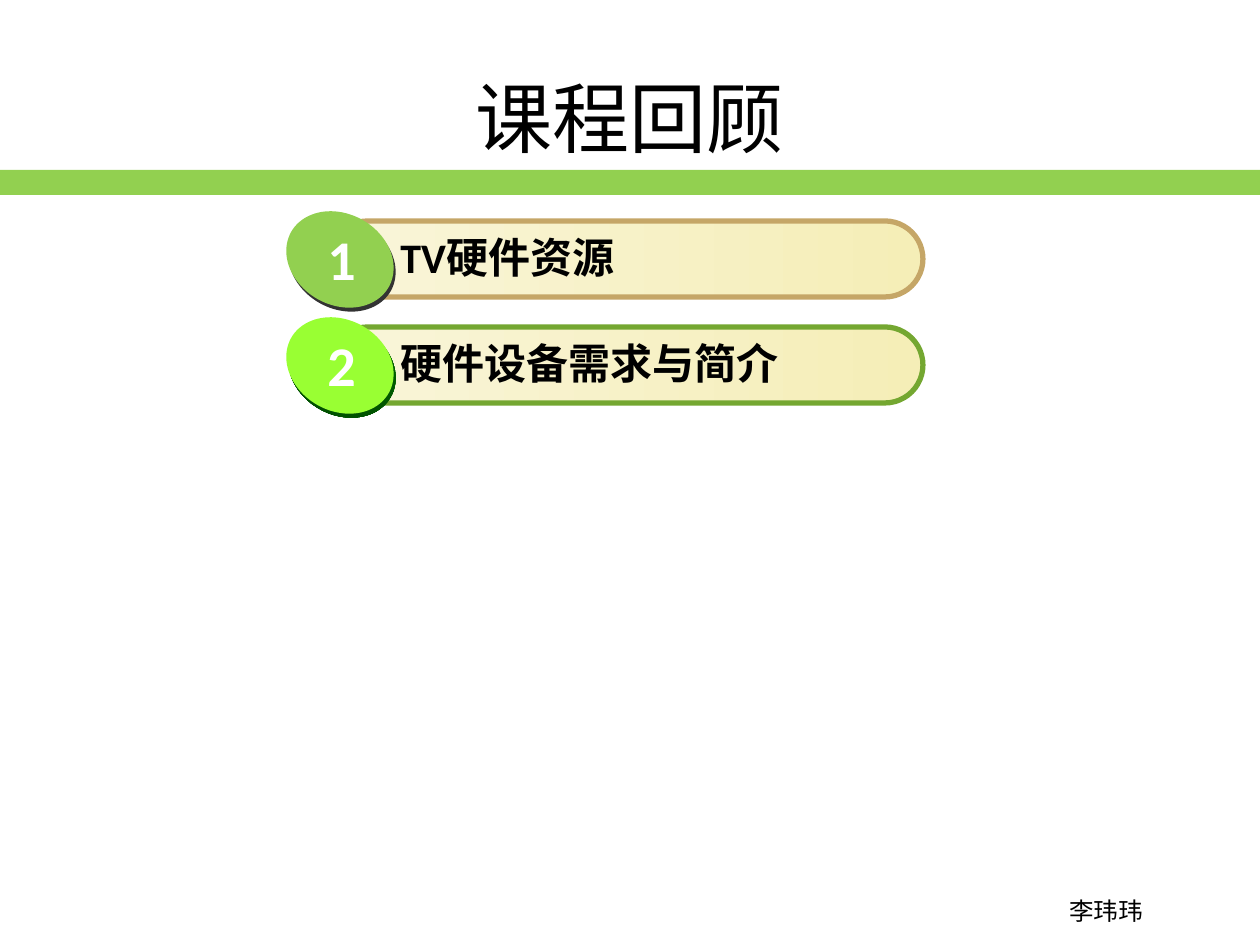
"""Build the course review slide with two numbered agenda items."""
from dataclasses import dataclass

from lxml import etree
from pptx import Presentation
from pptx.dml.color import RGBColor
from pptx.enum.shapes import MSO_SHAPE
from pptx.enum.text import MSO_ANCHOR, MSO_AUTO_SIZE, PP_ALIGN
from pptx.oxml.ns import qn
from pptx.util import Emu, Pt

RECT = MSO_SHAPE.RECTANGLE
PILL = MSO_SHAPE.ROUNDED_RECTANGLE
OVAL = MSO_SHAPE.OVAL
MIDDLE = MSO_ANCHOR.MIDDLE
GROW = MSO_AUTO_SIZE.SHAPE_TO_FIT_TEXT
LEFT, CENTER = PP_ALIGN.LEFT, PP_ALIGN.CENTER

BLACK = RGBColor(0x00, 0x00, 0x00)
WHITE = RGBColor(0xFF, 0xFF, 0xFF)
GREEN = RGBColor(0x92, 0xD0, 0x50)
LIME = RGBColor(0x99, 0xFF, 0x33)
LEAF = RGBColor(0x74, 0xA7, 0x31)
TAN = RGBColor(0xC5, 0xA6, 0x67)
CHARCOAL = RGBColor(0x33, 0x33, 0x33)
FOREST = RGBColor(0x00, 0x66, 0x00)
DARK_FOREST = RGBColor(0x00, 0x49, 0x00)
CREAM = RGBColor(0xF9, 0xF5, 0xD9)
SAND = RGBColor(0xF5, 0xEE, 0xB7)

LATIN = "Calibri"
CJK = "Noto Sans CJK SC"
PX_PER_INCH = 126
ITEM_TOP, ITEM_STEP = 214, 106
TILT = 29.3


@dataclass(frozen=True)
class Item:
    """One agenda entry and its colours."""
    text: str
    border: RGBColor
    badge: RGBColor
    shadow: tuple[RGBColor, ...]


ITEMS = (
    Item("TV硬件资源", TAN, GREEN, (CHARCOAL,)),
    Item("硬件设备需求与简介", LEAF, LIME, (FOREST, DARK_FOREST)),
)


def px(n: int) -> Emu:
    """Convert pixels to EMU."""
    return Emu(round(n * 914400 / PX_PER_INCH))


def box(x: int, y: int, w: int, h: int) -> tuple[Emu, ...]:
    """Convert a pixel box to EMU."""
    return px(x), px(y), px(w), px(h)


def write(tf, text: str, size: int, font: str, color: RGBColor = BLACK,
          bold: bool = False, align: PP_ALIGN = LEFT) -> None:
    """Put one formatted paragraph in a text frame."""
    p = tf.paragraphs[0]
    p.text = text
    p.alignment = align
    p.font.size = Pt(size)
    p.font.bold = bold
    p.font.color.rgb = color
    p.font.name = font
    props = p._p.pPr.find(qn("a:defRPr"))
    etree.SubElement(props, qn("a:ea")).set("typeface", CJK)


def add_text(shapes, bounds: tuple[Emu, ...], text: str, size: int, font: str,
             wrap: bool = True, **style) -> None:
    """Add a text box that grows with its text."""
    tf = shapes.add_textbox(*bounds).text_frame
    tf.word_wrap = wrap
    tf.auto_size = GROW
    write(tf, text, size, font, **style)


def add_solid(shapes, kind: MSO_SHAPE, bounds: tuple[Emu, ...],
              colors: tuple[RGBColor, ...], angle: int = 0):
    """Add a borderless shape with a plain or gradient fill."""
    sp = shapes.add_shape(kind, *bounds)
    sp.shadow.inherit = False
    sp.line.fill.background()
    if len(colors) == 1:
        sp.fill.solid()
        sp.fill.fore_color.rgb = colors[0]
    else:
        sp.fill.gradient()
        sp.fill.gradient_angle = angle
        for stop, color in zip(sp.fill.gradient_stops, colors):
            stop.color.rgb = color
    return sp


def add_item(s, number: int, item: Item) -> None:
    """Add a grouped pill with its numbered badge."""
    y = ITEM_TOP + (number - 1) * ITEM_STEP
    shapes = s.shapes.add_group_shape().shapes
    pill = add_solid(shapes, PILL, box(330, y + 7, 593, 76), (CREAM, SAND))
    pill.adjustments[0] = 0.5
    pill.line.color.rgb = item.border
    pill.line.width = Pt(3)
    add_text(shapes, box(388, y + 11, 473, 64), item.text, 24, LATIN, bold=True)
    shadow = add_solid(shapes, OVAL, box(286, y + 4, 112, 91), item.shadow, 270)
    badge = add_solid(shapes, OVAL, box(284, y, 112, 91), (item.badge,))
    shadow.rotation = badge.rotation = TILT
    add_text(shapes, box(315, y + 4, 57, 79), str(number), 32, LATIN,
             wrap=False, color=WHITE, bold=True)


def main() -> None:
    """Build and save the slide."""
    prs = Presentation()
    prs.slide_width, prs.slide_height = px(1260), px(945)
    s = prs.slides.add_slide(prs.slide_layouts[5])
    title = s.shapes.title
    title.left, title.top, title.width, title.height = box(63, 38, 1134, 158)
    title.text_frame.vertical_anchor = MIDDLE
    write(title.text_frame, "课程回顾", 44, CJK, align=CENTER)
    add_text(s.shapes, box(1047, 890, 118, 43), "李玮玮", 14, CJK, align=CENTER)
    add_solid(s.shapes, RECT, box(0, 170, 1260, 25), (GREEN,))
    for number, item in enumerate(ITEMS, 1):
        add_item(s, number, item)
    prs.save("out.pptx")


if __name__ == "__main__":
    main()
